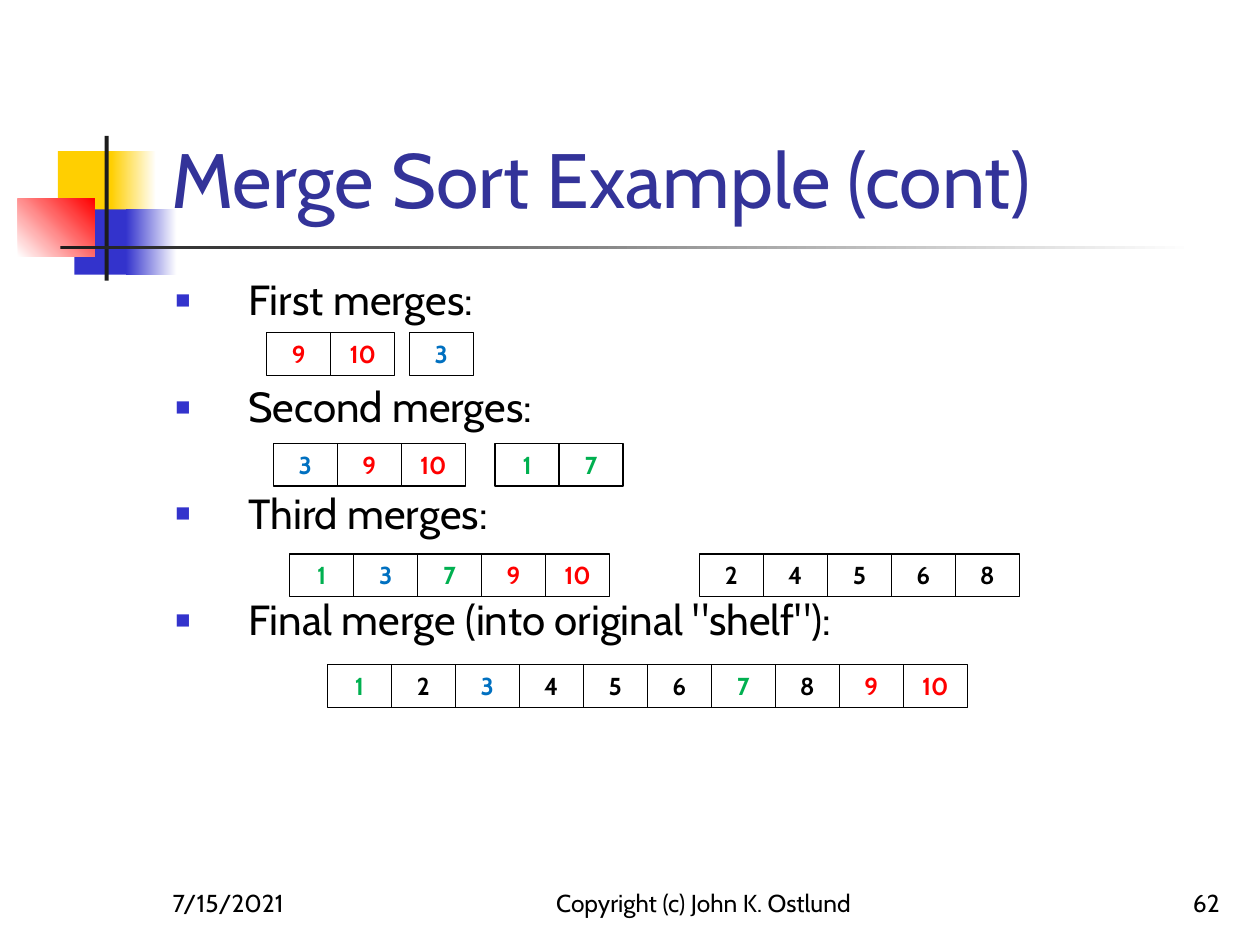
"""Build the merge sort example slide."""
from dataclasses import dataclass
from typing import Optional

from lxml.etree import SubElement as Sub
from pptx import Presentation
from pptx.dml.color import RGBColor as Rgb
from pptx.enum.shapes import MSO_SHAPE as Kind
from pptx.enum.text import MSO_ANCHOR as Anchor, MSO_AUTO_SIZE as Fit, PP_ALIGN as Align
from pptx.oxml.ns import qn
from pptx.util import Cm, Pt

FONT = "Cabin"
HUES = {
    "black": "000000", "red": "FF0000", "green": "00B050", "blue": "0070C0",
    "title": "333399", "navy": "3333CC", "gold": "FFCF01", "dark": "1C1C1C",
    "white": "FFFFFF",
}
TINTS = {1: "green", 3: "blue", 7: "green", 9: "red", 10: "red"}
CELL_W, CELL_H = 1.29, 0.86
ROW_TOP, ROW_STEP = 6.71, 2.23


@dataclass
class Block:
    """A plain or graded rectangle, in centimetres."""
    left: float
    top: float
    width: float
    height: float
    hue: str
    end: Optional[str] = None
    angle: int = 0


@dataclass
class Run:
    """A run of sorted cells in one row."""
    row: int
    left: float
    items: list[int]


@dataclass
class Foot:
    """A footer text and its place."""
    left: float
    width: float
    text: str
    align: Align


BLOCKS = [
    Block(1.17, 3.05, 1.22, 1.32, "gold"),
    Block(2.24, 3.05, 0.91, 1.32, "gold", "white"),
    Block(1.5, 4.22, 1.17, 1.32, "navy"),
    Block(2.54, 4.22, 1.02, 1.32, "navy", "white"),
    Block(0.36, 4.01, 1.55, 1.17, "white", "red", 45),
    Block(2.11, 2.74, 0.08, 2.92, "dark"),
    Block(1.22, 4.95, 22.86, 0.08, "dark", "white"),
]
STEPS = ["First merges:", "Second merges:", "Third merges:",
         'Final merge (into original "shelf"):']
RUNS = [
    Run(0, 5.38, [9, 10]),
    Run(0, 8.25, [3]),
    Run(1, 5.51, [3, 9, 10]),
    Run(1, 9.98, [1, 7]),
    Run(2, 5.84, [1, 3, 7, 9, 10]),
    Run(2, 14.1, [2, 4, 5, 6, 8]),
    Run(3, 6.6, list(range(1, 11))),
]
FEET = [
    Foot(3.23, 5.28, "7/15/2021", Align.LEFT),
    Foot(10.16, 8.05, "Copyright (c) John K. Ostlund", Align.CENTER),
    Foot(19.56, 5.28, "62", Align.RIGHT),
]


def color(name: str) -> Rgb:
    """Look up a colour."""
    return Rgb.from_string(HUES[name])


def write(para, text: str, size: int, hue: str = "black",
          align: Align = Align.LEFT, bold: bool = False) -> None:
    """Add one formatted run to a paragraph."""
    para.alignment = align
    run = para.add_run()
    run.text = text
    font = run.font
    font.name, font.size, font.bold = FONT, Pt(size), bold
    font.color.rgb = color(hue)


def place(shape, left: float, top: float, width: float, height: float) -> None:
    """Move and size a shape."""
    shape.left, shape.top = Cm(left), Cm(top)
    shape.width, shape.height = Cm(width), Cm(height)


def rect(slide, left: float, top: float, width: float, height: float):
    """Add a rectangle without shadow."""
    shape = slide.shapes.add_shape(
        Kind.RECTANGLE, Cm(left), Cm(top), Cm(width), Cm(height))
    shape.shadow.inherit = False
    return shape


def draw_block(slide, block: Block) -> None:
    """Draw one decorative rectangle."""
    shape = rect(slide, block.left, block.top, block.width, block.height)
    shape.line.fill.background()
    fill = shape.fill
    if block.end is None:
        fill.solid()
        fill.fore_color.rgb = color(block.hue)
        return
    fill.gradient()
    fill.gradient_angle = block.angle
    for stop, hue in zip(fill.gradient_stops, (block.hue, block.end)):
        stop.color.rgb = color(hue)


def draw_run(slide, run: Run) -> None:
    """Draw a run of numbered cells."""
    top = ROW_TOP + run.row * ROW_STEP
    for col, item in enumerate(run.items):
        cell = rect(slide, run.left + col * CELL_W, top, CELL_W, CELL_H)
        cell.fill.background()
        cell.line.color.rgb = color("black")
        cell.line.width = Pt(0.75)
        frame = cell.text_frame
        frame.word_wrap = True
        frame.vertical_anchor = Anchor.TOP
        write(frame.paragraphs[0], str(item), 14,
              TINTS.get(item, "black"), Align.CENTER, True)


def draw_foot(slide, foot: Foot) -> None:
    """Draw one footer text."""
    box = slide.shapes.add_textbox(
        Cm(foot.left), Cm(17.35), Cm(foot.width), Cm(1.27))
    frame = box.text_frame
    frame.word_wrap = True
    frame.vertical_anchor = Anchor.BOTTOM
    write(frame.paragraphs[0], foot.text, 14, align=foot.align)


def set_bullet(para) -> None:
    """Give a paragraph a small square bullet and a hanging indent."""
    props = para._p.get_or_add_pPr()
    props.set("marL", str(Cm(1.47)))
    props.set("indent", str(-Cm(1.47)))
    Sub(Sub(props, qn("a:buClr")), qn("a:srgbClr"), val=HUES["navy"])
    Sub(props, qn("a:buSzPct"), val="60000")
    Sub(props, qn("a:buChar"), char="■")


def fill_title(title) -> None:
    """Place and write the title."""
    place(title, 3.2, 0.58, 21.64, 4.06)
    frame = title.text_frame
    frame.auto_size = Fit.NONE
    frame.vertical_anchor = Anchor.BOTTOM
    write(frame.paragraphs[0], "Merge Sort Example (cont)", 44, "title")


def fill_body(body) -> None:
    """Place and write the list of merge steps."""
    place(body, 3.28, 5.51, 21.59, 11.43)
    frame = body.text_frame
    frame.auto_size = Fit.NONE
    for pos, step in enumerate(STEPS):
        para = frame.add_paragraph() if pos else frame.paragraphs[0]
        set_bullet(para)
        para.line_spacing = 0.9
        para.space_before = Pt(35 if pos else 0)
        write(para, step, 24)


def main() -> None:
    """Build and save the slide."""
    deck = Presentation()
    deck.slide_width, deck.slide_height = Cm(25.4), Cm(19.05)
    slide = deck.slides.add_slide(deck.slide_layouts[1])
    title, body = slide.placeholders
    for block in BLOCKS:
        draw_block(slide, block)
    for holder in (title, body):
        slide.shapes._spTree.append(holder._element)
    fill_title(title)
    fill_body(body)
    for foot in FEET:
        draw_foot(slide, foot)
    for run in RUNS:
        draw_run(slide, run)
    deck.save("out.pptx")


if __name__ == "__main__":
    main()
